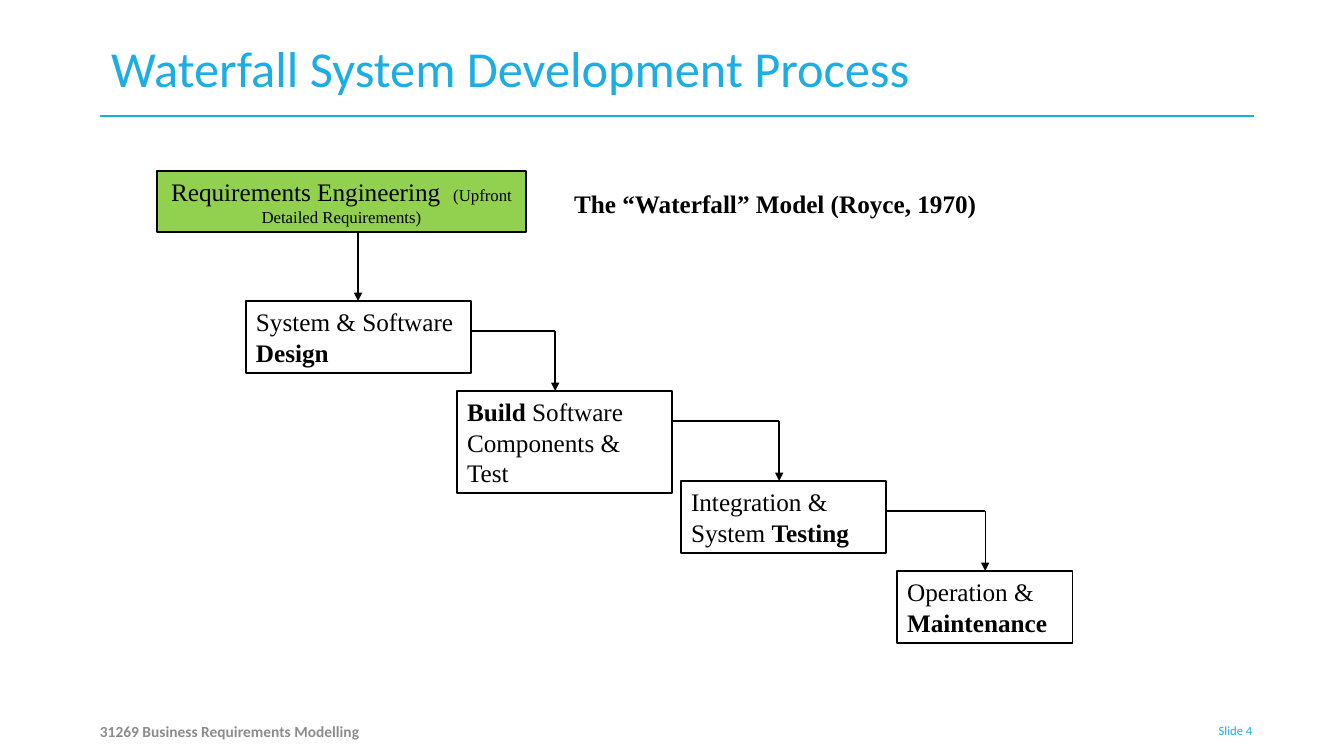
from pptx import Presentation
from pptx import util as u
from pptx.dml.color import RGBColor
from pptx.enum import shapes, text
from pptx.oxml.ns import qn
from lxml import etree

PX = 914400 / 100.8
BLUE = RGBColor(0x1C, 0xAD, 0xE4)
GREEN = RGBColor(0x92, 0xD0, 0x50)
GREY = RGBColor(0x8C, 0x8C, 0x8C)
BLACK = RGBColor(0, 0, 0)
SERIF, SANS = "Times New Roman", "Calibri"
LEFT, CENTER, RIGHT = text.PP_ALIGN.LEFT, text.PP_ALIGN.CENTER, text.PP_ALIGN.RIGHT

deck = Presentation()
deck.slide_width, deck.slide_height = u.Inches(13.33), u.Inches(7.5)
slide = deck.slides.add_slide(deck.slide_layouts[5])


def write(shape, runs, size, name, color, align=LEFT, anchor=text.MSO_ANCHOR.MIDDLE):
    frame = shape.text_frame
    frame.word_wrap = True
    frame.auto_size = text.MSO_AUTO_SIZE.NONE
    frame.vertical_anchor = anchor
    para = frame.paragraphs[0]
    para.alignment = align
    font = para.font
    font.size, font.name, font.color.rgb = u.Pt(size), name, color
    for words, bold in runs:
        run = para.add_run()
        run.text = words
        run.font.size, run.font.name, run.font.color.rgb = u.Pt(size), name, color
        run.font.bold = bold
    return para


def draw(x1, y1, x2, y2, color=BLACK, arrow=False):
    ends = [round(n * PX) for n in (x1, y1, x2, y2)]
    line = slide.shapes.add_connector(shapes.MSO_CONNECTOR.STRAIGHT, *ends)
    line.line.color.rgb, line.line.width = color, u.Pt(1)
    if arrow:
        etree.SubElement(line.line._get_or_add_ln(), qn("a:tailEnd"), type="triangle")
    etree.SubElement(line._element.spPr, qn("a:effectLst"))


draw(100, 116, 1254, 116, BLUE)

title = slide.shapes.title
title.left, title.top, title.width, title.height = [round(n * PX) for n in (101, 32, 1040, 92)]
write(title, [("Waterfall System Development Process", False)], 36, SANS, BLUE,
      anchor=text.MSO_ANCHOR.TOP)

labels = [
    ((90, 711, 679, 40), "31269 Business Requirements Modelling", True, 11, SANS, GREY, LEFT),
    ((1169, 711, 93, 40), "Slide 4", False, 9, SANS, BLUE, RIGHT),
    ((564, 183, 508, 40), "The “Waterfall” Model (Royce, 1970)", True, 18, SERIF, BLACK, LEFT),
]
for place, words, bold, size, name, color, align in labels:
    label = slide.shapes.add_textbox(*[round(n * PX) for n in place])
    write(label, [(words, bold)], size, name, color, align)

TOP, STEP, EXIT = 301, 90, 30
stages = [
    (157, 171, 369, 61, [("Requirements Engineering  ", False),
                         ("(Upfront Detailed Requirements)", False)]),
    (246, TOP, 225, 72, [("System & Software ", False), ("Design", True)]),
    (457, TOP + STEP, 215, 102, [("Build", True), (" Software Components & Test", False)]),
    (681, TOP + 2 * STEP, 205, 72, [("Integration & System ", False), ("Testing", True)]),
    (897, TOP + 3 * STEP, 175, 72, [("Operation & ", False), ("Maintenance", True)]),
]
for x, y, w, h, runs in stages:
    first = y < TOP
    box = slide.shapes.add_shape(shapes.MSO_SHAPE.RECTANGLE,
                                 *[round(n * PX) for n in (x, y, w, h)])
    box.shadow.inherit = False
    box.line.color.rgb, box.line.width = BLACK, u.Pt(1)
    if first:
        box.fill.solid()
        box.fill.fore_color.rgb = GREEN
    else:
        box.fill.background()
    para = write(box, runs, 18, SERIF, BLACK, CENTER if first else LEFT)
    if first:
        para.runs[1].font.size = u.Pt(12)

draw(358, 232, 358, TOP, arrow=True)
for (x, y, w, h, runs), turn in zip(stages[1:], (555, 779, 985)):
    draw(x + w, y + EXIT, turn, y + EXIT)
    draw(turn, y + EXIT, turn, y + STEP, arrow=True)

deck.save("out.pptx")
